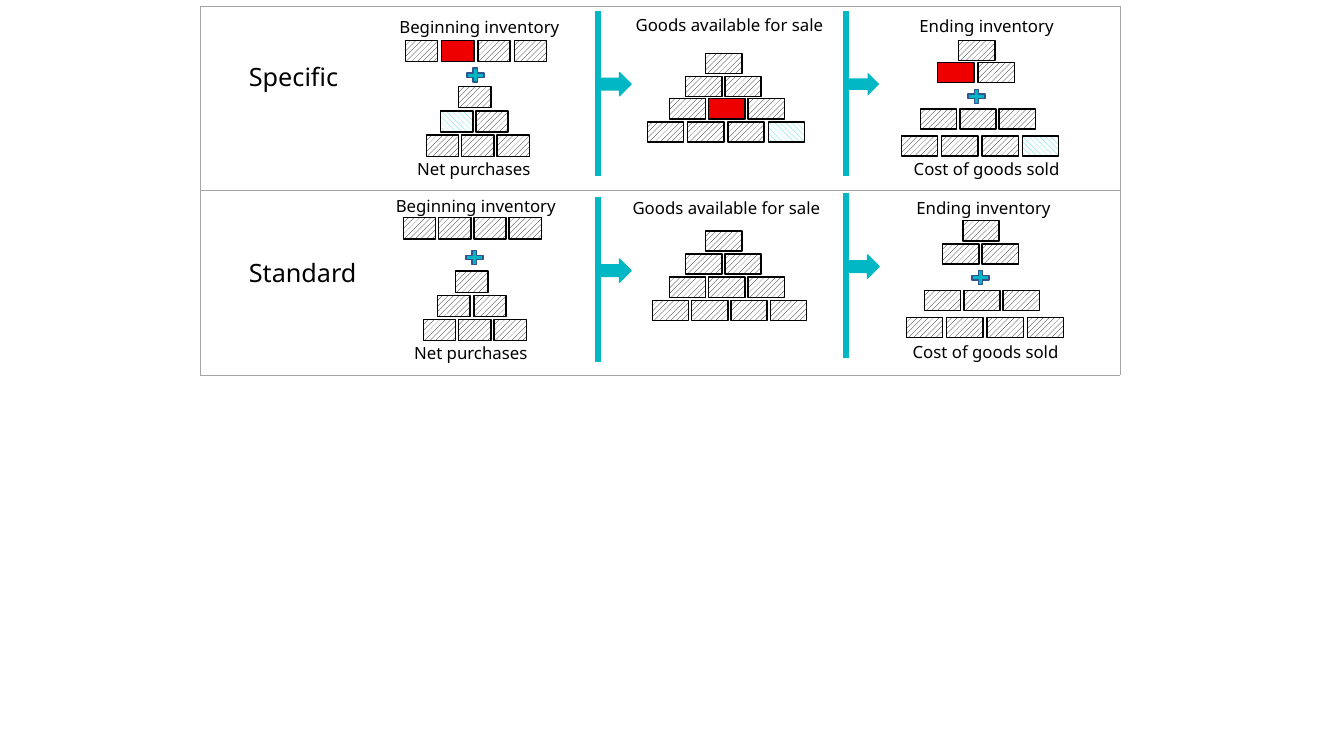
from lxml import etree
from pptx import Presentation
from pptx.dml.color import RGBColor
from pptx.enum import dml, shapes, text
from pptx.oxml import ns
from pptx.util import Inches, Pt

BLACK = RGBColor(0, 0, 0)
WHITE = RGBColor(255, 255, 255)
RED = RGBColor(0xEE, 0, 0)
MINT = RGBColor(0x30, 0xE5, 0xD0)
TEAL = RGBColor(0, 0xB7, 0xC3)
NAVY = RGBColor(0x32, 0x54, 0x91)
GREY = RGBColor(0xA5, 0xA5, 0xA5)
KIND = shapes.MSO_SHAPE
HATCH = dml.MSO_PATTERN

deck = Presentation()
deck.slide_width, deck.slide_height = Inches(13.33), Inches(7.5)
slide = deck.slides.add_slide(deck.slide_layouts[6])


def draw(home, kind, x, y, wide, high, line):
    shape = home.shapes.add_shape(kind, Inches(x), Inches(y), Inches(wide), Inches(high))
    shape.shadow.inherit = False
    shape.fill.solid()
    shape.fill.fore_color.rgb = TEAL
    shape.line.color.rgb = line
    shape.line.width = Pt(1)
    return shape


def label(words, x, y, wide, high, size, align):
    box = slide.shapes.add_textbox(Inches(x), Inches(y), Inches(wide), Inches(high))
    box.text_frame.word_wrap = True
    box.text_frame.auto_size = text.MSO_AUTO_SIZE.SHAPE_TO_FIT_TEXT
    para = box.text_frame.paragraphs[0]
    para.text = words
    para.alignment = align
    para.font.size = Pt(size)
    para.font.name = "Noto Sans"
    para.font.color.rgb = BLACK


# Frame: a two-row table with no inner vertical rules
frame = slide.shapes.add_table(2, 4, Inches(1.99), Inches(0.06), Inches(9.13), Inches(3.66))
table = frame.table
table.first_row = table.horz_banding = False
for col, wide in zip(table.columns, (1.46, 3.1, 2.28, 2.28)):
    col.width = Inches(wide)
for row in table.rows:
    row.height = Inches(1.83)
    for num, cell in enumerate(row.cells):
        prop = cell._tc.get_or_add_tcPr()
        for side, shown in (("L", num == 0), ("R", num == 3), ("T", True), ("B", True)):
            edge = etree.SubElement(prop, ns.qn("a:ln" + side), w=str(Pt(0.5)))
            if shown:
                fill = etree.SubElement(edge, ns.qn("a:solidFill"))
                etree.SubElement(fill, ns.qn("a:srgbClr"), val=str(GREY))
            else:
                etree.SubElement(edge, ns.qn("a:noFill"))
        cell.fill.background()

for words, x, y, wide in (
    ("Beginning inventory", 3.8, 0.12, 1.91),
    ("Beginning inventory", 3.82, 1.89, 1.8),
    ("Net purchases", 3.97, 1.53, 1.46),
    ("Net purchases", 3.94, 3.35, 1.46),
    ("Goods available for sale", 6.19, 0.1, 2.09),
    ("Goods available for sale", 6.16, 1.91, 2.09),
    ("Ending inventory", 8.74, 0.11, 2.09),
    ("Ending inventory", 8.71, 1.91, 2.09),
    ("Cost of goods sold", 8.74, 1.53, 2.09),
    ("Cost of goods sold", 8.73, 3.34, 2.09),
):
    label(words, x, y, wide, 0.3, 12, text.PP_ALIGN.CENTER)
label("Specific", 2.37, 0.56, 1.31, 0.4, 18, text.PP_ALIGN.LEFT)
label("Standard", 2.37, 2.5, 1.46, 0.4, 18, text.PP_ALIGN.LEFT)

# Each pile: brick width, brick height, then rows of (x, y, step, bricks)
# Bricks: g = grey hatch, m = mint hatch, r = red
piles = (
    (0.32, 0.21, ((4.02, 0.4, 0.36, "grgg"),)),
    (0.32, 0.21, ((4.55, 0.86, 0.35, "g"), (4.37, 1.1, 0.35, "mg"),
                  (4.23, 1.34, 0.35, "ggg"))),
    (0.32, 0.21, ((4, 2.16, 0.35, "gggg"),)),
    (0.32, 0.21, ((4.52, 2.69, 0.35, "g"), (4.34, 2.93, 0.36, "gg"),
                  (4.2, 3.17, 0.35, "ggg"))),
    (0.36, 0.2, ((7, 0.53, 0.39, "g"), (6.8, 0.76, 0.39, "gg"),
                 (6.64, 0.98, 0.39, "grg"), (6.42, 1.21, 0.4, "gggm"))),
    (0.36, 0.2, ((7, 2.29, 0.39, "g"), (6.8, 2.52, 0.39, "gg"),
                 (6.64, 2.75, 0.39, "ggg"), (6.47, 2.98, 0.39, "gggg"))),
    (0.36, 0.2, ((9.51, 0.4, 0.39, "g"), (9.3, 0.62, 0.4, "rg"),
                 (9.13, 1.08, 0.39, "ggg"), (8.94, 1.35, 0.4, "gggm"))),
    (0.36, 0.2, ((9.55, 2.19, 0.39, "g"), (9.35, 2.42, 0.39, "gg"),
                 (9.17, 2.88, 0.39, "ggg"), (8.99, 3.15, 0.4, "gggg"))),
)
for wide, high, rows in piles:
    pile = slide.shapes.add_group_shape()
    for x, y, step, bricks in rows:
        for num, mark in enumerate(bricks):
            brick = draw(pile, KIND.RECTANGLE, x + num * step, y, wide, high, BLACK)
            if mark == "r":
                brick.fill.fore_color.rgb = RED
                continue
            mint = mark == "m"
            brick.fill.patterned()
            brick.fill.pattern = (HATCH.WIDE_DOWNWARD_DIAGONAL if mint
                                  else HATCH.WIDE_UPWARD_DIAGONAL)
            brick.fill.fore_color.rgb = MINT if mint else BLACK
            brick.fill.back_color.rgb = WHITE

for x, y in ((4.6, 0.65), (4.59, 2.46), (9.57, 0.86), (9.61, 2.66)):
    draw(slide, KIND.MATH_PLUS, x, y, 0.23, 0.19, NAVY)

# Dividers, each with an arrow to the next stage
for x, top, tip in ((5.93, 0.11, 0.72), (5.93, 1.95, 2.57),
                    (8.39, 0.11, 0.72), (8.39, 1.91, 2.53)):
    bar = slide.shapes.add_connector(shapes.MSO_CONNECTOR.STRAIGHT, Inches(x), Inches(top),
                                     Inches(x), Inches(top + 1.64))
    bar.line.color.rgb = TEAL
    bar.line.width = Pt(4.5)
    etree.SubElement(bar._element.spPr, ns.qn("a:effectLst"))
    arrow = draw(slide, KIND.RIGHT_ARROW, x, tip, 0.33, 0.23, TEAL)
    if (x, top) == (8.39, 0.11):
        arrow.line.fill.background()

deck.save("out.pptx")
